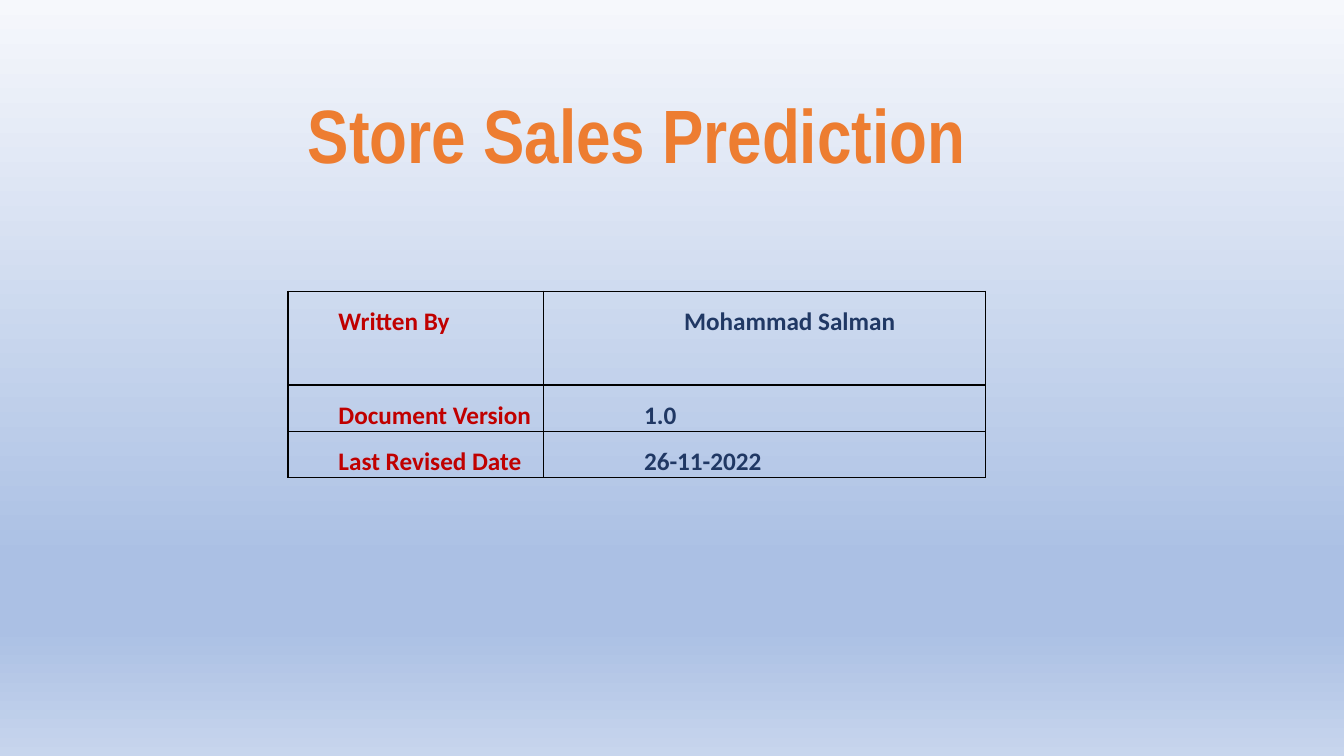
from lxml import etree
from pptx import Presentation
from pptx.dml.color import RGBColor
from pptx.enum.text import MSO_ANCHOR, MSO_AUTO_SIZE, PP_ALIGN
from pptx.oxml.ns import qn
from pptx.util import Cm, Pt

BOTTOM = MSO_ANCHOR.BOTTOM
NO_AUTOFIT = MSO_AUTO_SIZE.NONE
CENTER, JUSTIFY = PP_ALIGN.CENTER, PP_ALIGN.JUSTIFY

ORANGE = RGBColor(0xED, 0x7D, 0x31)
RED = RGBColor(0xC0, 0x00, 0x00)
NAVY = RGBColor(0x20, 0x38, 0x64)
BLACK = RGBColor(0, 0, 0)
SKY = [
    (0, RGBColor(0xF6, 0xF8, 0xFC)),
    (74, RGBColor(0xAB, 0xC0, 0xE4)),
    (83, RGBColor(0xAB, 0xC0, 0xE4)),
    (100, RGBColor(0xC7, 0xD5, 0xED)),
]

HEADING = "Store Sales Prediction"
DETAILS = [
    ("Written By", "Mohammad Salman"),
    ("Document Version", "1.0"),
    ("Last Revised Date", "26-11-2022"),
]
COLUMN_WIDTHS = [Cm(6.43), Cm(11.15)]
ROW_HEIGHTS = [Cm(2.36), Cm(1.12), Cm(1.12)]
INDENT = Cm(1.27)


def write(frame, text, *, font, size, color, align, spacing,
          before=0, level=0, indent=0):
    paragraph = frame.paragraphs[0]
    paragraph.alignment = align
    paragraph.line_spacing = spacing
    paragraph.space_before = Pt(before)
    paragraph.level = level
    properties = paragraph._p.get_or_add_pPr()
    properties.set("marL", str(indent))
    properties.set("indent", "0")
    run = paragraph.add_run()
    run.text = text
    run.font.name = font
    run.font.size = Pt(size)
    run.font.bold = True
    run.font.color.rgb = color


def add_solid(parent, color):
    solid = etree.SubElement(parent, qn("a:solidFill"))
    etree.SubElement(solid, qn("a:srgbClr"), val=str(color))


def outline(cell):
    properties = cell._tc.get_or_add_tcPr()
    for side in ("lnL", "lnR", "lnT", "lnB"):
        add_solid(etree.SubElement(properties, qn(f"a:{side}"), w=str(Pt(1))), BLACK)


def paint_background(slide):
    fill = slide.background.fill
    fill.gradient()
    fill.gradient_angle = 270
    stops = slide.element.find(".//" + qn("a:gsLst"))
    for stop in list(stops):
        stops.remove(stop)
    for percent, color in SKY:
        stop = etree.SubElement(stops, qn("a:gs"), pos=str(percent * 1000))
        etree.SubElement(stop, qn("a:srgbClr"), val=str(color))


deck = Presentation()
deck.slide_width, deck.slide_height = Cm(33.87), Cm(19.05)
slide = deck.slides.add_slide(deck.slide_layouts[0])
paint_background(slide)

subtitle = slide.placeholders[1].element
subtitle.getparent().remove(subtitle)

title = slide.shapes.title
title.left, title.top, title.width, title.height = Cm(3.35), Cm(2.21), Cm(25.4), Cm(2.46)
title.text_frame.vertical_anchor = BOTTOM
title.text_frame.auto_size = NO_AUTOFIT
write(title.text_frame, HEADING, font="Arial Narrow", size=54, color=ORANGE,
      align=CENTER, spacing=0.9)

details = slide.shapes.add_table(
    len(DETAILS), len(COLUMN_WIDTHS), Cm(7.26), Cm(7.34),
    sum(COLUMN_WIDTHS), sum(ROW_HEIGHTS)).table
details.first_row = details.horz_banding = False
for column, width in zip(details.columns, COLUMN_WIDTHS):
    column.width = width
for row, height in zip(details.rows, ROW_HEIGHTS):
    row.height = height

for r, entry in enumerate(DETAILS):
    for c, text in enumerate(entry):
        cell = details.cell(r, c)
        outline(cell)
        cell.fill.background()
        cell.margin_left = cell.margin_right = cell.margin_top = cell.margin_bottom = 0
        is_author = (r, c) == (0, 1)
        write(cell.text_frame, text, font="Calibri", size=18,
              color=NAVY if c else RED,
              align=CENTER if is_author else JUSTIFY, spacing=1.5, before=0.1,
              level=0 if is_author else 1,
              indent=INDENT if is_author else INDENT * (c + 1))

deck.save("out.pptx")
